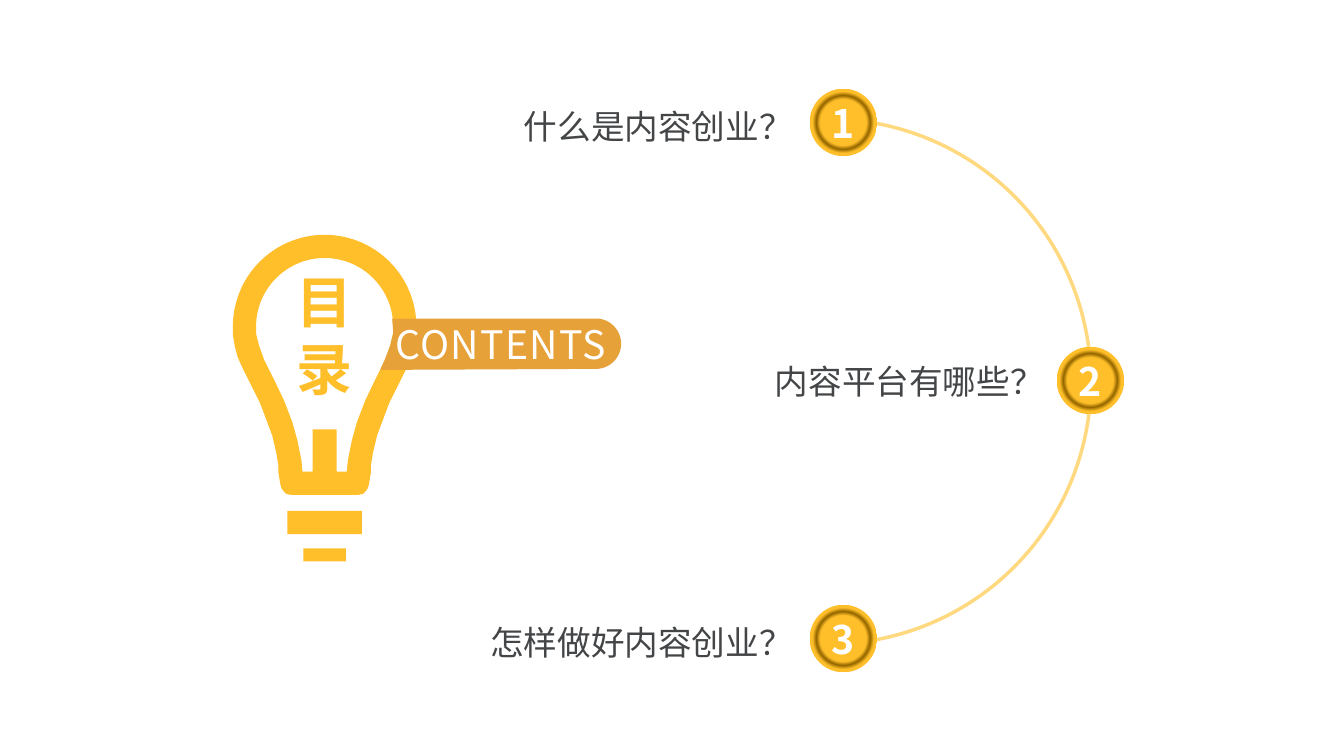
from math import cos, sin, radians
from lxml.etree import SubElement
from pptx import Presentation
from pptx.dml.color import RGBColor
from pptx.enum.shapes import MSO_SHAPE
from pptx.enum.text import MSO_ANCHOR, PP_ALIGN
from pptx.oxml import parse_xml
from pptx.oxml.ns import nsdecls, qn
from pptx.util import Inches, Pt

GOLD, PALE, BROWN, TAN = "FFBF2B", "FFD980", "956800", "E7A139"
WHITE, GRAY = "FFFFFF", "434547"


def tint(code):
    return RGBColor.from_string(code)


def curve(x, y, size, start, end, step=3):
    """Points on a circle, clockwise from the top."""
    turns = [radians(a) for a in range(start, end + 1, step)]
    return [(x + size * sin(t), y - size * cos(t)) for t in turns]


def mirror(half, mid):
    """Close a right half, given as offsets from mid, with its left half."""
    return ([(mid + x, y) for x, y in half]
            + [(mid - x, y) for x, y in reversed(half)])


class Board:
    font = "Noto Sans CJK SC"

    def __init__(self, slide):
        self.slide = slide

    def letter(self, shape, lines, size, color, bold=False, align=PP_ALIGN.CENTER,
               pads=None, space=None, track=None, wrap=True):
        frame = shape.text_frame
        form = {"word_wrap": wrap, "vertical_anchor": MSO_ANCHOR.MIDDLE}
        if pads:
            sides = ("left", "top", "right", "bottom")
            form.update({f"margin_{s}": Inches(p) for s, p in zip(sides, pads)})
        for key, value in form.items():
            setattr(frame, key, value)
        for i, line in enumerate(lines):
            para = frame.paragraphs[0] if i == 0 else frame.add_paragraph()
            for key, value in {"alignment": align, "line_spacing": space}.items():
                setattr(para, key, value)
            run = para.add_run()
            run.text = line
            for key, value in {"name": self.font, "size": Pt(size), "bold": bold}.items():
                setattr(run.font, key, value)
            run.font.color.rgb = tint(color)
            props = run.font._element
            SubElement(props, qn("a:ea")).set("typeface", self.font)
            if track:
                props.set("spc", str(track * 100))

    def arc(self, x, y, size, color, width):
        arc = self.slide.shapes.add_shape(
            MSO_SHAPE.ARC, Inches(x), Inches(y), Inches(size), Inches(size))
        # Angles of 270 and 90 degrees
        arc.adjustments[0], arc.adjustments[1] = 162, 54
        arc.shadow.inherit = False
        arc.fill.background()
        arc.line.color.rgb = tint(color)
        arc.line.width = Pt(width)

    def badge(self, x, y, size, text):
        disc = self.slide.shapes.add_shape(
            MSO_SHAPE.OVAL, Inches(x), Inches(y), Inches(size), Inches(size))
        disc.shadow.inherit = False
        disc.line.fill.background()
        stops = "".join(
            f'<a:gs pos="{pos}000"><a:srgbClr val="{color}"/></a:gs>'
            for pos, color in ((48, GOLD), (56, BROWN), (64, GOLD)))
        fill = parse_xml(
            f'<a:gradFill {nsdecls("a")} rotWithShape="1"><a:gsLst>{stops}</a:gsLst>'
            '<a:path path="circle"><a:fillToRect l="50000" t="50000" r="50000" '
            'b="50000"/></a:path></a:gradFill>')
        disc._element.spPr.find(qn("a:prstGeom")).addnext(fill)
        self.letter(disc, [text], 28, WHITE, bold=True, pads=(0, 0, 0, 0), wrap=False)

    def label(self, x, y, text):
        box = self.slide.shapes.add_textbox(
            Inches(x), Inches(y), Inches(3.79), Inches(1.7))
        self.letter(box, [text], 24, GRAY, align=PP_ALIGN.RIGHT, space=1.2)

    def outline(self, loops, color):
        pen = None
        for loop in loops:
            dots = [(Inches(x), Inches(y)) for x, y in loop]
            if pen is None:
                pen = self.slide.shapes.build_freeform(*dots[0])
            else:
                pen.move_to(*dots[0])
            pen.add_line_segments(dots[1:], close=True)
        shape = pen.convert_to_shape()
        shape.shadow.inherit = False
        shape.fill.solid()
        shape.fill.fore_color.rgb = tint(color)
        shape.line.fill.background()
        return shape


def main():
    deck = Presentation()
    deck.slide_width, deck.slide_height = Inches(13.33), Inches(7.5)
    board = Board(deck.slides.add_slide(deck.slide_layouts[6]))

    # Arc with numbered topics
    board.arc(5.61, 1.18, 5.21, PALE, 2.5)
    topics = [
        ("什么是内容创业？", 8.03, 0.88, 4.17, 0.36),
        ("内容平台有哪些？", 10.48, 3.44, 6.66, 2.89),
        ("怎样做好内容创业？", 8.03, 6, 4.17, 5.48),
    ]
    for num, (text, x, y, left, top) in enumerate(topics, 1):
        board.badge(x, y, 0.67, str(num))
        board.label(left, top, text)

    # Light bulb: glass, hollow with filament, two base bars
    mid, glow = 3.22, 3.24
    glass = curve(0, glow, 0.91, 0, 90) + [
        (0.91, 3.32), (0.89, 3.44), (0.86, 3.55), (0.81, 3.66), (0.75, 3.78),
        (0.69, 3.9), (0.64, 4), (0.58, 4.16), (0.52, 4.32), (0.48, 4.49),
        (0.46, 4.61), (0.46, 4.68), (0.44, 4.8), (0.43, 4.84), (0.41, 4.87),
        (0.38, 4.9), (0.33, 4.91)]
    hollow = curve(0, glow, 0.68, 0, 90) + [
        (0.68, 3.31), (0.65, 3.43), (0.6, 3.57), (0.5, 3.77), (0.4, 3.98),
        (0.32, 4.19), (0.27, 4.37), (0.23, 4.57), (0.22, 4.68),
        (0.12, 4.68), (0.12, 4.26)]
    bars = [[(0.37, 5.07), (0.37, 5.3)], [(0.21, 5.44), (0.21, 5.57)]]
    bulb = board.outline([mirror(h, mid) for h in (glass, hollow, *bars)], GOLD)
    board.letter(bulb, ["目", "录"], 40, GOLD, bold=True, pads=(0, 0, 0, 1.26))

    # Contents tag
    edge = [(3.77, 3.67), (3.82, 3.56), (3.87, 3.43), (3.9, 3.3), (3.89, 3.16)]
    tag = board.outline([curve(5.91, 3.41, 0.25, 0, 180) + edge], TAN)
    board.letter(tag, ["CONTENTS"], 28, WHITE, pads=(0, 0, 0, 0), track=1)

    deck.save("out.pptx")


if __name__ == "__main__":
    main()
